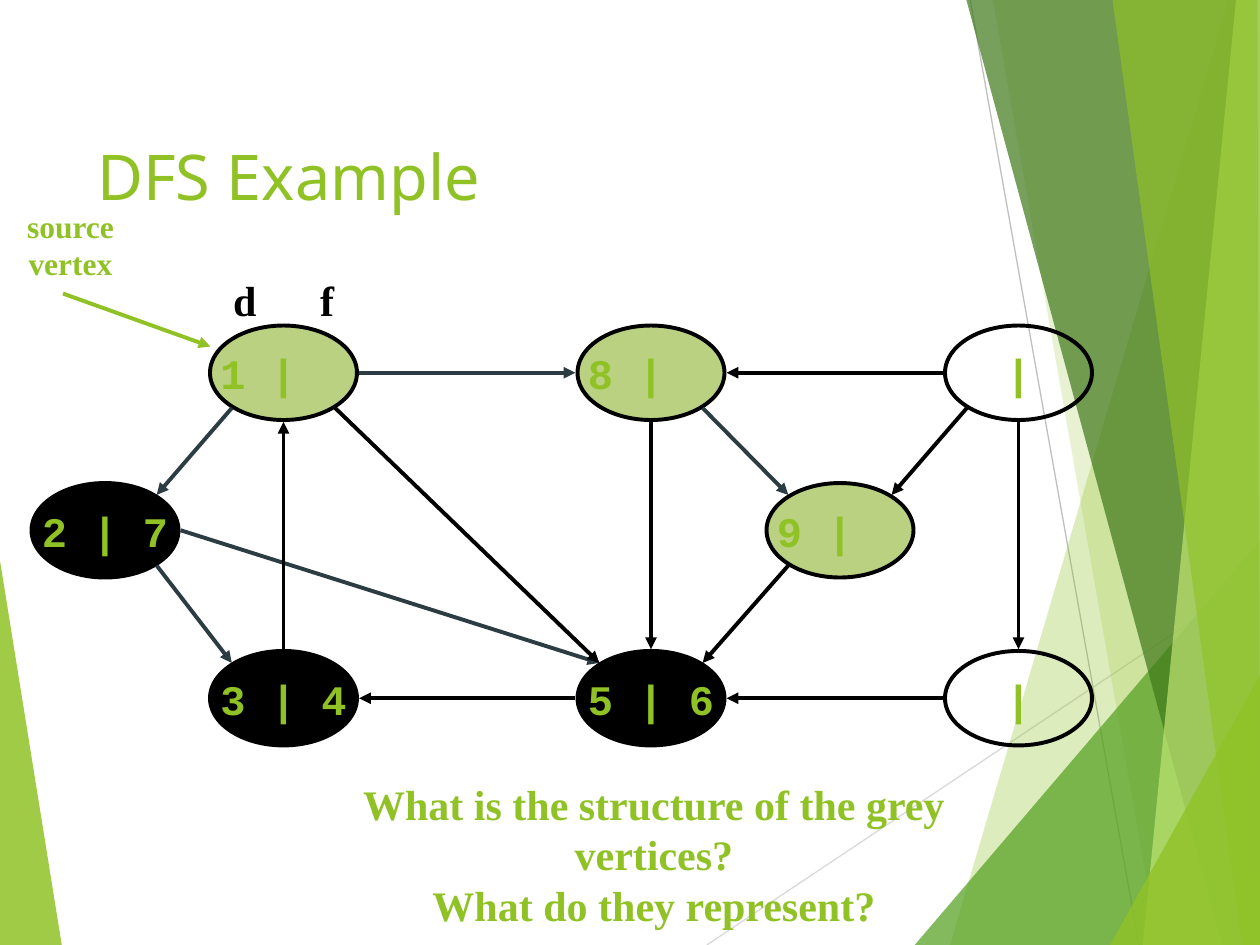
"""Build the depth-first search example slide."""
from dataclasses import dataclass

from lxml import etree
from pptx import Presentation
from pptx import util as u
from pptx.dml.color import RGBColor
from pptx.enum import shapes, text
from pptx.oxml import ns

WIDTH, HEIGHT = 10, 7.5
UNIT = 1 / 12
NODE_WIDTH, NODE_HEIGHT = 14 * UNIT, 9 * UNIT
GREEN, BLACK, GREY, SLATE = "90C226", "000000", "B9D181", "2C3C43"
SERIF, MONO = "Times New Roman", "Courier New"
PORTS = {
    "n": (0, -0.39), "s": (0, 0.39), "w": (-0.6, 0), "e": (0.6, 0),
    "nw": (-0.41, -0.28), "ne": (0.41, -0.28),
    "sw": (-0.41, 0.28), "se": (0.41, 0.28),
}


@dataclass
class Facet:
    points: list[tuple[float, float]]
    color: str
    opacity: int


@dataclass
class Vertex:
    column: int
    row: int
    label: str
    fill: str | None = None

    def port(self, side: str) -> tuple[float, float]:
        dx, dy = PORTS[side]
        return (self.column * UNIT + NODE_WIDTH / 2 + dx,
                self.row * UNIT + NODE_HEIGHT / 2 + dy)


@dataclass
class Edge:
    start: str
    start_side: str
    end: str
    end_side: str
    color: str = BLACK


LEFT_FACET = Facet([(0, 4.45), (0.49, 7.5), (0, 7.5)], GREEN, 85)
RIGHT_FACETS = [
    Facet([(9.75, 0), (7.54, 7.5), (10, 7.5), (10, 0)], GREEN, 30),
    Facet([(7.88, 0), (9.19, 7.5), (10, 7.5), (10, 0)], GREEN, 20),
    Facet([(7.26, 7.5), (10, 4.29), (10, 7.5)], "54A021", 72),
    Facet([(7.67, 0), (9.7, 7.5), (10, 7.5), (10, 0)], "3F7819", 70),
    Facet([(9.81, 0), (9.07, 7.5), (10, 7.5), (10, 0)], "C0E474", 70),
    Facet([(8.83, 0), (9.86, 7.5), (10, 7.5), (9.98, 0)], GREEN, 65),
    Facet([(8.81, 7.5), (10, 5.36), (10, 7.5)], GREEN, 80),
]
VERTICES = {
    "source": Vertex(20, 31, "1 |", GREY),
    "top": Vertex(55, 31, "8 |", GREY),
    "top right": Vertex(90, 31, "|"),
    "bottom right": Vertex(90, 62, "|"),
    "bottom": Vertex(55, 62, "5 | 6", BLACK),
    "bottom left": Vertex(20, 62, "3 | 4", BLACK),
    "left": Vertex(3, 46, "2 | 7", BLACK),
    "inner": Vertex(73, 46, "9 |", GREY),
}
EDGES = [
    Edge("source", "sw", "left", "ne", SLATE),
    Edge("left", "se", "bottom left", "nw", SLATE),
    Edge("left", "e", "bottom", "nw", SLATE),
    Edge("bottom", "w", "bottom left", "e"),
    Edge("bottom left", "n", "source", "s"),
    Edge("source", "se", "bottom", "nw"),
    Edge("top", "s", "bottom", "n"),
    Edge("source", "e", "top", "w", SLATE),
    Edge("top right", "w", "top", "e"),
    Edge("top", "se", "inner", "nw", SLATE),
    Edge("top right", "sw", "inner", "ne"),
    Edge("top right", "s", "bottom right", "n"),
    Edge("bottom right", "w", "bottom", "e"),
    Edge("inner", "sw", "bottom", "ne"),
]


def paint(target, color: str) -> None:
    target.solid()
    target.fore_color.rgb = RGBColor.from_string(color)


def write(box, words: str, *, size: int = 24, font: str = SERIF,
          color: str = GREEN, bold: bool = True, wrap: bool = False,
          align=text.PP_ALIGN.CENTER, anchor=text.MSO_ANCHOR.MIDDLE,
          margins: tuple[float, float] = (0, 0)) -> None:
    frame = box.text_frame
    frame.word_wrap = wrap
    frame.vertical_anchor = anchor
    frame.margin_left, frame.margin_right = map(u.Inches, margins)
    para = frame.paragraphs[0]
    para.text = words
    para.alignment = align
    for span in para.runs:
        span.font.name = font
        span.font.size = u.Pt(size)
        span.font.bold = bold
        span.font.color.rgb = RGBColor.from_string(color)


def add_text(page, left: float, top: float, width: float, height: float,
             words: str, **style):
    box = page.shapes.add_textbox(*map(u.Inches, (left, top, width, height)))
    write(box, words, **style)
    return box


def add_tab_stop(box, position: float) -> None:
    settings = box.element.find(".//" + ns.qn("a:pPr"))
    stops = etree.SubElement(settings, ns.qn("a:tabLst"))
    etree.SubElement(stops, ns.qn("a:tab"), pos=str(u.Inches(position)),
                     algn="l")


def add_facet(page, facet: Facet) -> None:
    first, *rest = [(u.Inches(x), u.Inches(y)) for x, y in facet.points]
    builder = page.shapes.build_freeform(*first)
    builder.add_line_segments(rest, close=True)
    shape = builder.convert_to_shape()
    shape.shadow.inherit = False
    paint(shape.fill, facet.color)
    shape.line.fill.background()
    tint = shape.element.spPr.find(".//" + ns.qn("a:srgbClr"))
    etree.SubElement(tint, ns.qn("a:alpha"), val=str(facet.opacity * 1000))


def add_line(page, start: tuple[float, float], end: tuple[float, float],
             color: str, width: float = 2.25, arrow: bool = True) -> None:
    line = page.shapes.add_connector(
        shapes.MSO_CONNECTOR.STRAIGHT, *map(u.Inches, (*start, *end)))
    paint(line.line.fill, color)
    line.line.width = u.Pt(width)
    properties = line.element.spPr
    if arrow:
        etree.SubElement(properties.find(ns.qn("a:ln")), ns.qn("a:tailEnd"),
                         type="triangle")
    etree.SubElement(properties, ns.qn("a:effectLst"))


def add_vertex(page, vertex: Vertex) -> None:
    oval = page.shapes.add_shape(
        shapes.MSO_SHAPE.OVAL, u.Inches(vertex.column * UNIT),
        u.Inches(vertex.row * UNIT), u.Inches(NODE_WIDTH),
        u.Inches(NODE_HEIGHT))
    oval.shadow.inherit = False
    if vertex.fill:
        paint(oval.fill, vertex.fill)
    else:
        oval.fill.background()
    paint(oval.line.fill, BLACK)
    oval.line.width = u.Pt(2.25)
    unfinished = vertex.label.endswith(" |")
    write(oval, vertex.label, font=MONO,
          margins=(0, 0.4 if unfinished else 0))


def build() -> None:
    deck = Presentation()
    deck.slide_width, deck.slide_height = u.Inches(WIDTH), u.Inches(HEIGHT)
    page = deck.slides.add_slide(deck.slide_layouts[5])
    add_facet(page, LEFT_FACET)
    add_line(page, (5.61, 7.5), (10, 4.57), "D9D9D9", 0.75, False)
    add_line(page, (7.7, 0), (9.04, 7.5), "BFBFBF", 0.75, False)
    for facet in RIGHT_FACETS:
        add_facet(page, facet)

    title = page.shapes.title
    title.left, title.top = u.Inches(0.67), u.Inches(0.67)
    title.width, title.height = u.Inches(6.94), u.Inches(1.44)
    write(title, "DFS Example", size=36, font="Noto Sans", bold=False,
          wrap=True, align=text.PP_ALIGN.LEFT, margins=(0.1, 0.1))

    for vertex in VERTICES.values():
        add_vertex(page, vertex)
    for edge in EDGES:
        add_line(page, VERTICES[edge.start].port(edge.start_side),
                 VERTICES[edge.end].port(edge.end_side), edge.color)
    add_line(page, (0.5, 2.33), (1.67, 2.75), GREEN)

    add_text(page, 0.08, 1.59, 0.96, 0.77, "source\vvertex", size=18,
             anchor=text.MSO_ANCHOR.TOP)
    times = add_text(page, 1.67, 2, NODE_WIDTH, NODE_HEIGHT, "d\tf",
                     color=BLACK, wrap=True, align=text.PP_ALIGN.LEFT,
                     margins=(0.18, 0))
    add_tab_stop(times, 0.69)
    add_text(page, 2.15, 6.13, 6.08, 1.3,
             "What is the structure of the grey vertices?\v"
             "What do they represent?", wrap=True,
             anchor=text.MSO_ANCHOR.TOP, margins=(0.3, 0.3))
    deck.save("out.pptx")


build()
